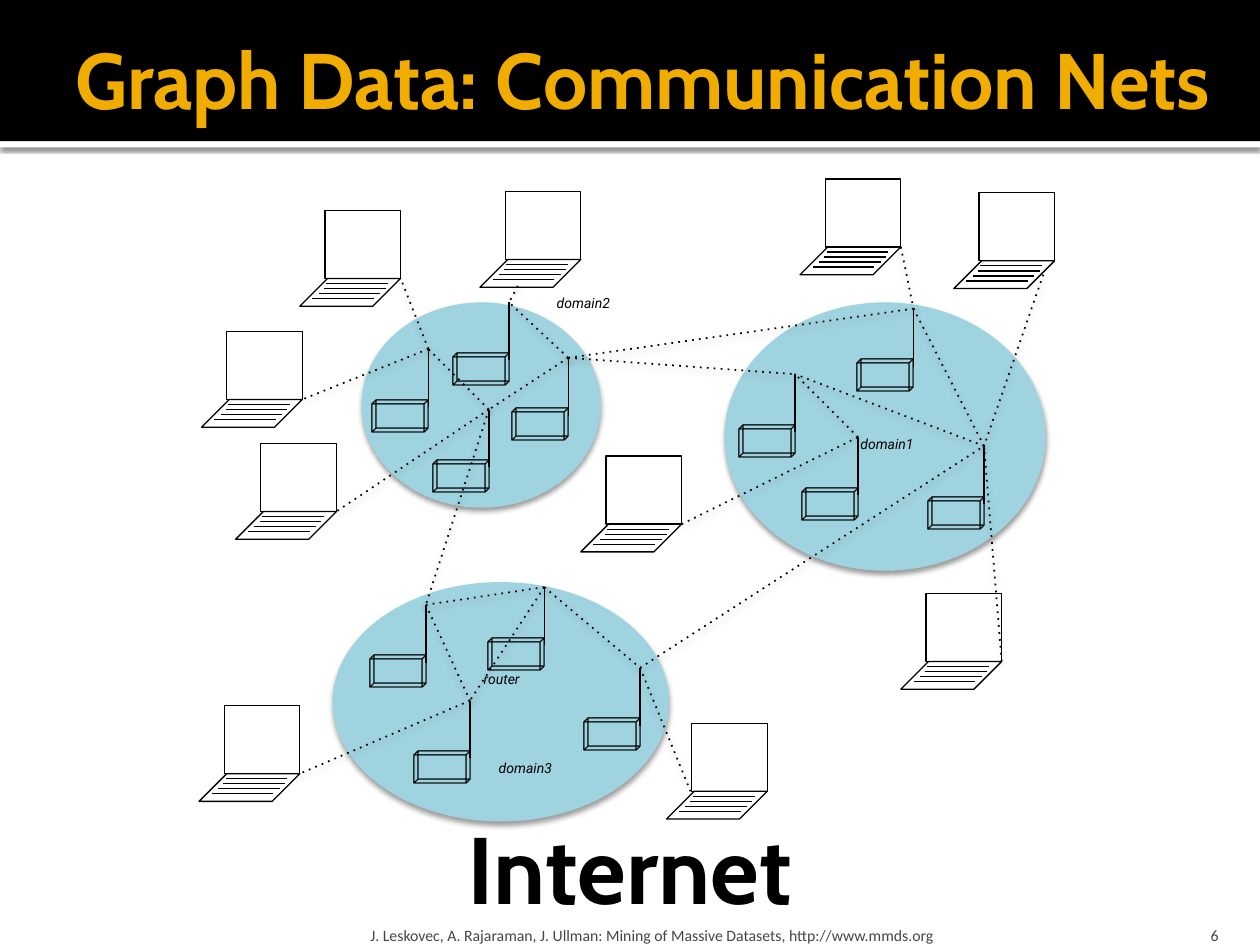
from dataclasses import dataclass

from lxml import etree
from pptx import Presentation
from pptx import util as u
from pptx.dml.color import RGBColor
from pptx.enum import shapes, text
from pptx.oxml import ns

BLACK = RGBColor(0x00, 0x00, 0x00)
WHITE = RGBColor(0xFF, 0xFF, 0xFF)
GOLD = RGBColor(0xF0, 0xAD, 0x00)
GREY = RGBColor(0x45, 0x45, 0x45)
CLOUD_BLUE = RGBColor(0xA0, 0xD3, 0xE0)

Point = tuple[float, float]
Box = tuple[float, float, float, float]
SHAPE = shapes.MSO_SHAPE
ALIGN = text.PP_ALIGN
ANCHOR = text.MSO_ANCHOR


@dataclass
class Shadow:
    alpha: int  # percent
    blur: float  # points
    dist: float  # points


@dataclass
class Laptop:
    x: float  # corner of the keyboard's bounding box
    y: float
    port: Point = (0.8, 0)  # where the cable leaves, from that corner

    @property
    def end(self) -> Point:
        return self.x + self.port[0], self.y + self.port[1]


@dataclass
class Router:
    x: float
    y: float

    @property
    def end(self) -> Point:  # tip of the antenna
        return self.x + 0.45, self.y - 0.43


@dataclass
class Label:
    words: str
    box: Box
    size: float
    face: str
    color: RGBColor = BLACK
    bold: bool = False
    italic: bool = False
    align: ALIGN = ALIGN.LEFT
    anchor: ANCHOR = ANCHOR.TOP
    insets: Box = (0.1, 0.05, 0.1, 0.05)
    grow: bool = False


CLOUDS = [(5.75, 2.4, 2.55, 2.13), (2.87, 2.4, 1.9, 1.63), (2.64, 4.62, 2.67, 1.9)]

LAPTOPS = {
    "a": Laptop(2.38, 2.21), "b": Laptop(1.6, 3.17), "c": Laptop(1.87, 4.06),
    "d": Laptop(3.81, 2.06, (0.3, 0.21)), "e": Laptop(6.35, 1.96),
    "f": Laptop(1.58, 6.14), "g": Laptop(5.29, 6.28, (0.19, 0)),
    "h": Laptop(4.61, 4.16), "i": Laptop(7.15, 5.25),
    "j": Laptop(7.57, 2.07, (0.71, 0.11)),
}

# Numbered by domain: 1x right, 2x upper left, 3x lower left
ROUTERS = {
    "11": Router(5.86, 3.4), "12": Router(6.8, 2.88),
    "13": Router(7.36, 3.97), "14": Router(6.36, 3.9),
    "21": Router(2.95, 3.2), "22": Router(4.06, 3.27),
    "23": Router(3.43, 3.68), "24": Router(3.59, 2.83),
    "31": Router(3.28, 5.99), "32": Router(2.93, 5.23),
    "33": Router(3.87, 5.09), "34": Router(4.63, 5.73),
}

LINKS = """21-b 21-a 23-21 22-23 22-24 d-24 23-c 23-32 33-31 33-34 33-32 32-31
31-f 34-g h-14 14-11 22-11 22-12 13-12 e-12 13-11 j-13 i-13 34-13""".split()

NODE_LABEL = dict(size=8, face="Roboto", italic=True, grow=True)
FOOTER = dict(size=9, face="Calibri", color=GREY, anchor=ANCHOR.BOTTOM)
LABELS = [
    Label("domain2", (4.32, 2.29, 1.15, 0.39), **NODE_LABEL),
    Label("domain1", (6.73, 3.41, 1.15, 0.39), **NODE_LABEL),
    Label("domain3", (3.86, 5.98, 1.15, 0.39), **NODE_LABEL),
    Label("router", (3.74, 5.27, 0.9, 0.39), **NODE_LABEL),
    Label("Internet", (1.54, 6.38, 6.92, 1.01), 54, "Cabin", bold=True,
          align=ALIGN.CENTER, grow=True),
    Label("Graph Data: Communication Nets", (0.5, 0.08, 9.5, 1.08), 45, "Cabin",
          GOLD, bold=True, anchor=ANCHOR.MIDDLE, insets=(0.1, 0.05, 0.05, 0.05)),
    Label("J. Leskovec, A. Rajaraman, J. Ullman: Mining of Massive Datasets, "
          "http://www.mmds.org", (2.89, 7.2, 6.02, 0.3),
          insets=(0.05, 0.05, 0.05, 0), **FOOTER),
    Label("6", (8.97, 7.2, 0.8, 0.3), align=ALIGN.RIGHT,
          insets=(0.1, 0.05, 0.1, 0), **FOOTER),
]


def add_tag(parent, tag: str, **attributes: str):
    return etree.SubElement(parent, ns.qn(tag), **attributes)


def set_effects(sp, shadow: Shadow | None = None) -> None:
    """Replace the theme's shadow by the given one, or by none."""
    sp_pr = sp._element.spPr
    for old in sp_pr.findall(ns.qn("a:effectLst")):
        sp_pr.remove(old)
    effects = add_tag(sp_pr, "a:effectLst")
    if shadow:
        outer = add_tag(effects, "a:outerShdw", blurRad=str(int(u.Pt(shadow.blur))),
                        dist=str(int(u.Pt(shadow.dist))), dir="5400000",
                        rotWithShape="0")
        color = add_tag(outer, "a:srgbClr", val=str(BLACK))
        add_tag(color, "a:alpha", val=str(shadow.alpha * 1000))


def extrude(sp, depth: float) -> None:
    """Show the shape as an oblique wireframe box."""
    sp_pr = sp._element.spPr
    scene = add_tag(sp_pr, "a:scene3d")
    add_tag(scene, "a:camera", prst="legacyObliqueTopRight")
    add_tag(scene, "a:lightRig", rig="legacyFlat3", dir="b")
    solid = add_tag(sp_pr, "a:sp3d", extrusionH=str(int(u.Inches(depth))),
                    prstMaterial="legacyWireframe")
    color = add_tag(solid, "a:extrusionClr")
    add_tag(color, "a:srgbClr", val=str(BLACK))


def draw_solid(s, kind: SHAPE, box: Box, fill: RGBColor,
               shadow: Shadow | None = None) -> None:
    sp = s.shapes.add_shape(kind, *map(u.Inches, box))
    sp.fill.solid()
    sp.fill.fore_color.rgb = fill
    sp.line.fill.background()
    set_effects(sp, shadow)


def draw_outline(s, kind: SHAPE, box: Box):
    sp = s.shapes.add_shape(kind, *map(u.Inches, box))
    sp.fill.background()
    sp.line.color.rgb = BLACK
    sp.line.width = u.Pt(0.75)
    set_effects(sp)
    return sp


def draw_line(s, start: Point, end: Point, width: float = 0.75,
              dash: str | None = None, shadow: Shadow | None = None) -> None:
    line = s.shapes.add_connector(shapes.MSO_CONNECTOR.STRAIGHT,
                                  *map(u.Inches, (*start, *end)))
    line.line.color.rgb = BLACK
    line.line.width = u.Pt(width)
    if dash:
        add_tag(line._element.spPr.find(ns.qn("a:ln")), "a:prstDash", val=dash)
    set_effects(line, shadow)


def draw_laptop(s, laptop: Laptop) -> None:
    x, y = laptop.x, laptop.y
    keyboard = draw_outline(s, SHAPE.PARALLELOGRAM, (x, y, 0.8, 0.22))
    keyboard.adjustments[0] = 1
    draw_outline(s, SHAPE.RECTANGLE, (x + 0.2, y - 0.54, 0.6, 0.54))
    for dx, dy in [(0.21, 0.04), (0.19, 0.08), (0.15, 0.12), (0.1, 0.16)]:
        draw_line(s, (x + dx, y + dy), (x + dx + 0.49, y + dy))


def draw_router(s, router: Router) -> None:
    x, y = router.x, router.y
    extrude(draw_outline(s, SHAPE.RECTANGLE, (x, y, 0.42, 0.23)), 0.09)
    draw_line(s, (x + 0.45, y + 0.03), router.end)


def draw_label(s, label: Label) -> None:
    tf = s.shapes.add_textbox(*map(u.Inches, label.box)).text_frame
    left, top, right, bottom = map(u.Inches, label.insets)
    frame = dict(word_wrap=True, vertical_anchor=label.anchor, margin_left=left,
                 margin_top=top, margin_right=right, margin_bottom=bottom)
    if label.grow:
        frame["auto_size"] = text.MSO_AUTO_SIZE.SHAPE_TO_FIT_TEXT
    for name, value in frame.items():
        setattr(tf, name, value)
    p = tf.paragraphs[0]
    p.alignment = label.align
    r = p.add_run()
    r.text = label.words
    font = dict(name=label.face, size=u.Pt(label.size), bold=label.bold,
                italic=label.italic)
    for name, value in font.items():
        setattr(r.font, name, value)
    r.font.color.rgb = label.color


def main() -> None:
    prs = Presentation()
    prs.slide_width, prs.slide_height = u.Inches(10), u.Inches(7.5)
    s = prs.slides.add_slide(prs.slide_layouts[6])

    # Title band
    draw_solid(s, SHAPE.RECTANGLE, (0, 1.12, 10, 0.05), WHITE, Shadow(60, 2.5, 0.8))
    draw_solid(s, SHAPE.RECTANGLE, (0, 0, 10, 1.12), BLACK)

    # Domains and their devices
    for box in CLOUDS:
        draw_solid(s, SHAPE.OVAL, box, CLOUD_BLUE, Shadow(38, 3.1, 2))
    for laptop in LAPTOPS.values():
        draw_laptop(s, laptop)
    for router in ROUTERS.values():
        draw_router(s, router)

    # Network links
    nodes = {**LAPTOPS, **ROUTERS}
    for link in LINKS:
        start, end = (nodes[name].end for name in link.split("-"))
        draw_line(s, start, end, 1, "dot", Shadow(38, 3.5, 2))

    # Title, labels and footer
    for label in LABELS:
        draw_label(s, label)
    prs.save("out.pptx")


if __name__ == "__main__":
    main()
